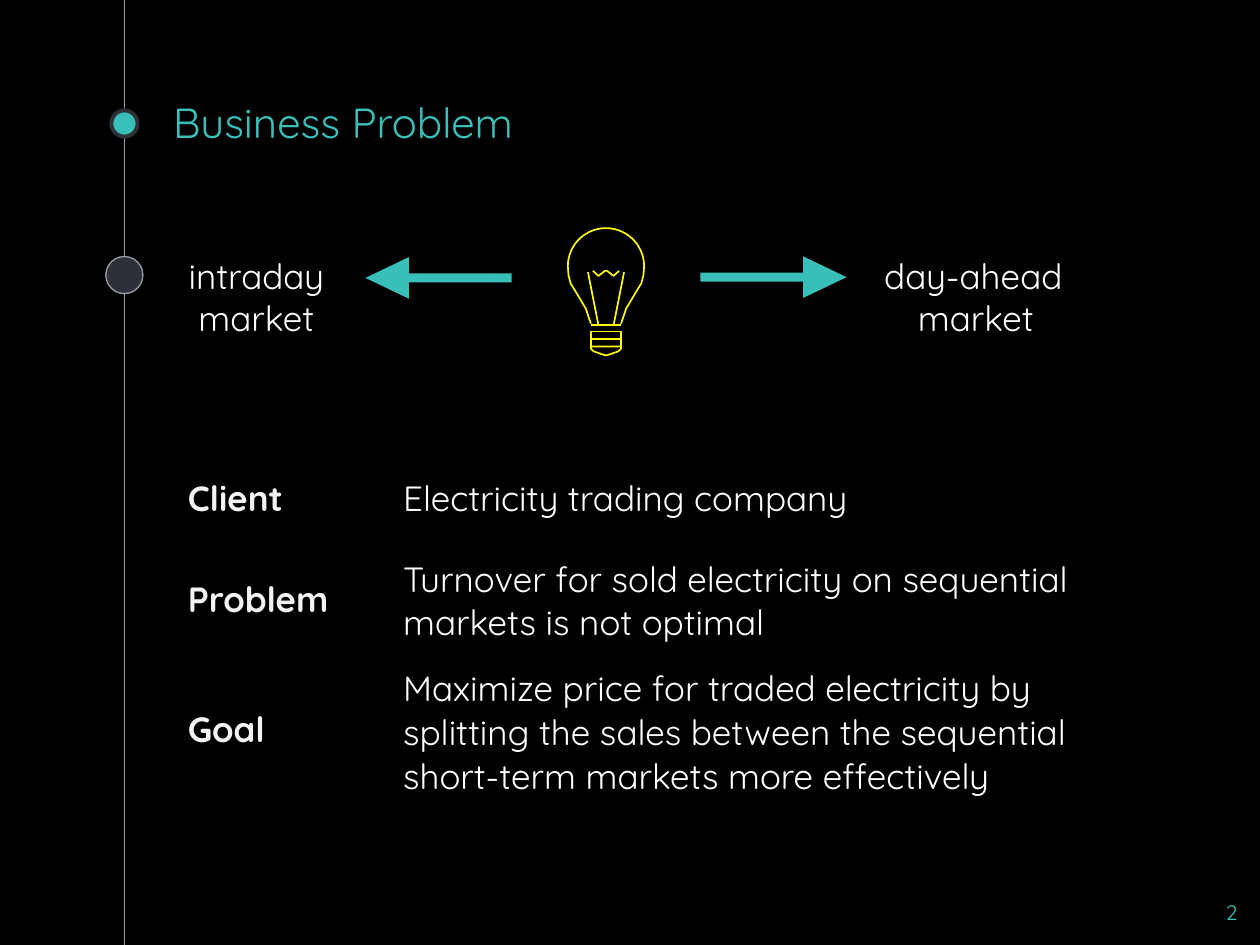
from math import cos, radians, sin

from pptx import Presentation
from pptx.dml.color import RGBColor
from pptx.enum.shapes import MSO_CONNECTOR, MSO_SHAPE
from pptx.enum.text import MSO_ANCHOR, PP_ALIGN
from pptx.util import Pt
from lxml.etree import SubElement
from pptx.oxml.ns import qn

COLORS = {
    "background": "000000", "accent": "39C0BA", "arrow": "39BFB9",
    "rail": "999FA9", "dark": "2E3037", "bulb": "FFFF00",
    "text": "FFFFFF", "label": "F3F3F3",
}
NO_GRID_STYLE = "{2D5ABB26-0587-4C30-8999-92F81FD0307C}"


def color(name):
    return RGBColor.from_string(COLORS[name])


class SlideBuilder:
    font = "Quicksand"
    inset = 7.2

    def __init__(self, slide):
        self.slide = slide
        self.shapes = slide.shapes
        slide.background.fill.solid()
        slide.background.fill.fore_color.rgb = color("background")

    def set_text(self, frame, text, size, ink, align=PP_ALIGN.LEFT, bold=False):
        frame.text = text
        frame.word_wrap = True
        for paragraph in frame.paragraphs:
            paragraph.alignment = align
            for run in paragraph.runs:
                run.font.name = self.font
                run.font.size = Pt(size)
                run.font.bold = bold
                run.font.color.rgb = color(ink)

    def set_margins(self, target, vertical):
        target.margin_left = target.margin_right = Pt(self.inset)
        target.margin_top = target.margin_bottom = Pt(vertical)

    def title(self, text, *box):
        title = self.shapes.title
        title.left, title.top, title.width, title.height = map(Pt, box)
        self.set_margins(title.text_frame, self.inset)
        title.text_frame.vertical_anchor = MSO_ANCHOR.BOTTOM
        self.set_text(title.text_frame, text, 24, "accent")

    def text(self, text, *box, size=20, ink="text", align=PP_ALIGN.CENTER, vertical=3.6):
        frame = self.shapes.add_textbox(*map(Pt, box)).text_frame
        self.set_margins(frame, vertical)
        self.set_text(frame, text, size, ink, align)
        return frame

    def shape(self, kind, *box, fill, line=None, weight=0.75):
        shape = self.shapes.add_shape(kind, *map(Pt, box))
        shape.shadow.inherit = False
        shape.fill.solid()
        shape.fill.fore_color.rgb = color(fill)
        if line:
            shape.line.color.rgb = color(line)
            shape.line.width = Pt(weight)
        else:
            shape.line.fill.background()
        return shape

    def dot(self, x, y, diameter, **style):
        corner = x - diameter / 2, y - diameter / 2
        self.shape(MSO_SHAPE.OVAL, *corner, diameter, diameter, **style)

    def arrow(self, left, top, rotation=0):
        arrow = self.shape(MSO_SHAPE.RIGHT_ARROW, left, top, 83.5, 23.8, fill="arrow")
        arrow.adjustments[0], arrow.adjustments[1] = 0.219, 1.045
        arrow.rotation = rotation

    def rail(self, x, top, bottom):
        rail = self.shapes.add_connector(MSO_CONNECTOR.STRAIGHT, Pt(x), Pt(top), Pt(x), Pt(bottom))
        rail.line.color.rgb = color("rail")
        rail.line.width = Pt(0.75)
        SubElement(rail._element.spPr, qn("a:effectLst"))

    def outline(self, points, close=False):
        start, *rest = [(Pt(x), Pt(y)) for x, y in points]
        builder = self.shapes.build_freeform(*start)
        builder.add_line_segments(rest, close=close)
        stroke = builder.convert_to_shape()
        stroke.shadow.inherit = False
        stroke.fill.background()
        stroke.line.color.rgb = color("bulb")
        stroke.line.width = Pt(0.96)

    def mirrored(self, axis, half, close=False):
        """Draw a half outline and its reflection as one stroke."""
        right = [(axis + dx, y) for dx, y in half]
        left = [(axis - dx, y) for dx, y in reversed(half)]
        self.outline(right + left, close)

    def table(self, rows, left, top, widths, row_height):
        frame = self.shapes.add_table(len(rows), len(widths), Pt(left), Pt(top),
                                      Pt(sum(widths)), Pt(row_height * len(rows)))
        table = frame.table
        table.first_row = table.horz_banding = False
        table._tbl.tblPr.find(qn("a:tableStyleId")).text = NO_GRID_STYLE
        for column, width in zip(table.columns, widths):
            column.width = Pt(width)
        for row, texts in zip(table.rows, rows):
            row.height = Pt(row_height)
            for index, (cell, text) in enumerate(zip(row.cells, texts)):
                cell.fill.background()
                cell.vertical_anchor = MSO_ANCHOR.MIDDLE
                self.set_margins(cell, self.inset)
                heading = index == 0
                self.set_text(cell.text_frame, text, 20, "label" if heading else "text",
                              bold=heading)


def draw_bulb(page, axis=346.3):
    # Glass: neck, then a quarter circle up to the top
    radius, center_y = 21.8, 152.2
    neck = [(8.6, 185), (10.1, 180.7), (11.5, 176.4), (13.7, 172.8), (15.8, 169.2),
            (18, 165.6), (20.2, 162), (21.4, 157.5)]
    dome = [(radius * cos(radians(a)), center_y - radius * sin(radians(a)))
            for a in range(0, 91, 6)]
    page.mirrored(axis, neck + dome)

    # Filament and its supports
    page.mirrored(axis, [(7.5, 154.8), (4.3, 157.7), (0.6, 154.8), (0, 154.8)])
    for side in (-1, 1):
        page.outline([(axis + side * 10.3, 155.5), (axis + side * 4.5, 185)])

    # Screw base: collar, two bands and a rounded tip
    half = 8.6
    page.mirrored(axis, [(half, 185.8), (0, 185.8)])
    for top in (189.5, 193.8):
        page.mirrored(axis, [(half, top), (half, top + 4.2)], close=True)
    page.mirrored(axis, [(half, 198), (half, 199.2), (7.8, 200.2), (6.8, 200.9),
                         (0.7, 203), (0, 203.1)], close=True)


def main():
    deck = Presentation()
    deck.slide_width, deck.slide_height = Pt(720), Pt(540)
    page = SlideBuilder(deck.slides.add_slide(deck.slide_layouts[5]))

    # Timeline rail
    rail_x = 71.1
    page.rail(rail_x, -0.7, 540)
    page.dot(rail_x, 70.6, 15, fill="accent", line="dark", weight=2.25)
    page.dot(rail_x, 157.2, 21.2, fill="dark", line="rail")

    # Title and page number
    page.title("Business Problem", 91.7, 55.4, 540, 36)
    page.text("2", 671, 506.9, 43.2, 33.1, size=12, ink="accent",
              align=PP_ALIGN.RIGHT, vertical=7.2)

    # Two markets on either side of the bulb
    page.text("intraday\nmarket", 99.7, 141.8, 93.6, 55.4)
    day_ahead = page.text("day-ahead\nmarket", 498.2, 141.8, 118.8, 55.4)
    day_ahead.paragraphs[0].alignment = PP_ALIGN.LEFT
    page.arrow(208.8, 146.9, rotation=180)
    page.arrow(400.3, 146.5)
    draw_bulb(page)

    # Client, problem and goal
    page.table([
        ("Client", "Electricity trading company"),
        ("Problem", "Turnover for sold electricity on sequential markets is not optimal"),
        ("Goal", "Maximize price for traded electricity by splitting the sales "
                 "between the sequential short-term markets more effectively"),
    ], 100.1, 258.5, (123.1, 448.6), 52.6)

    deck.save("out.pptx")


if __name__ == "__main__":
    main()
